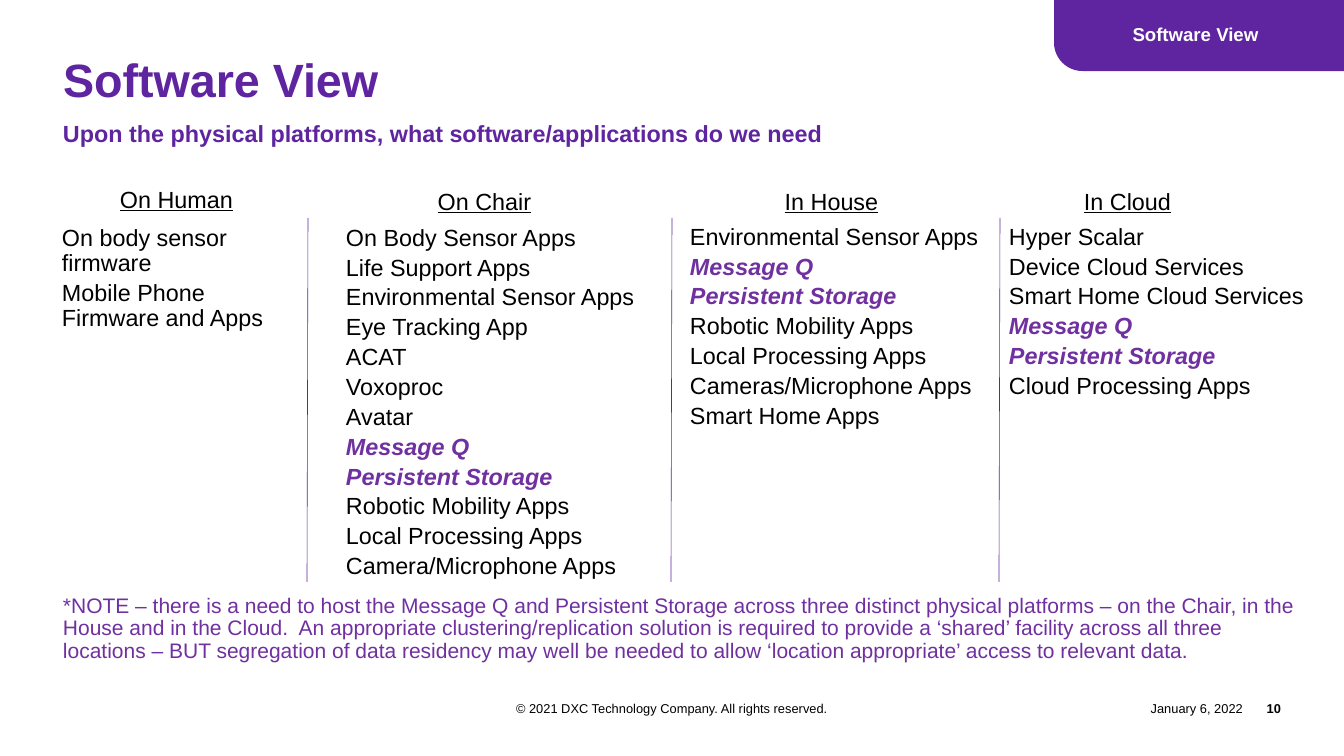
from dataclasses import dataclass

from lxml import etree
from pptx import Presentation
from pptx.dml.color import RGBColor
from pptx.enum.shapes import MSO_CONNECTOR, MSO_SHAPE
from pptx.enum.text import MSO_ANCHOR, PP_ALIGN
from pptx.oxml.ns import qn
from pptx.util import Emu, Pt

LEFT, CENTER, RIGHT = PP_ALIGN.LEFT, PP_ALIGN.CENTER, PP_ALIGN.RIGHT
TOP, MIDDLE = MSO_ANCHOR.TOP, MSO_ANCHOR.MIDDLE
STRAIGHT = MSO_CONNECTOR.STRAIGHT
ONE_ROUND_CORNER = MSO_SHAPE.ROUND_1_RECTANGLE
EMU_PER_PX = 914400 / 84
BLANK_LAYOUT = 6


@dataclass(frozen=True)
class Theme:
    face: str = "Arial"
    brand: RGBColor = RGBColor(0x5F, 0x24, 0x9F)
    accent: RGBColor = RGBColor(0x70, 0x30, 0xA0)
    ink: RGBColor = RGBColor(0, 0, 0)
    paper: RGBColor = RGBColor(255, 255, 255)
    title: int = 40
    body: int = 20
    note: int = 18
    tab: int = 16
    footer: int = 11


THEME = Theme()
BODY_SPACING = {"line_spacing": 0.9, "space_after": Pt(4)}
NO_INSETS = (0, 0)
BOX_INSETS = (8, 4)
SHARED = ("Message Q", "Persistent Storage")
PLATFORMS = [
    ("On Human", (99, 184), (54, 222, 244, 145),
     ["On body sensor firmware", "Mobile Phone Firmware and Apps"]),
    ("On Chair", (407, 186), (338, 222, 312, 396),
     ["On Body Sensor Apps", "Life Support Apps", "Environmental Sensor Apps",
      "Eye Tracking App", "ACAT", "Voxoproc", "Avatar", *SHARED,
      "Robotic Mobility Apps", "Local Processing Apps",
      "Camera/Microphone Apps"]),
    ("In House", (754, 186), (682, 221, 312, 245),
     ["Environmental Sensor Apps", *SHARED, "Robotic Mobility Apps",
      "Local Processing Apps", "Cameras/Microphone Apps", "Smart Home Apps"]),
    ("In Cloud", (1050, 186), (1001, 221, 333, 215),
     ["Hyper Scalar", "Device Cloud Services", "Smart Home Cloud Services",
      *SHARED, "Cloud Processing Apps"]),
]
DIVIDERS = (308, 672, 1000)
NOTE = (
    "*NOTE – there is a need to host the Message Q and Persistent Storage "
    "across three distinct physical platforms – on the Chair, in the House "
    "and in the Cloud.  An appropriate clustering/replication solution is "
    "required to provide a ‘shared’ facility across all three locations – "
    "BUT segregation of data residency may well be needed to allow "
    "‘location appropriate’ access to relevant data."
)


def px(length):
    return Emu(round(length * EMU_PER_PX))


def apply(target, values):
    for attribute, value in values.items():
        setattr(target, attribute, value)


def add_lines(slide, area, lines, size, color=THEME.ink, insets=NO_INSETS,
              anchor=TOP, spacing=None, align=LEFT, **style):
    frame = slide.shapes.add_textbox(*map(px, area)).text_frame
    across, down = map(px, insets)
    apply(frame, {"word_wrap": True, "vertical_anchor": anchor,
                  "margin_left": across, "margin_right": across,
                  "margin_top": down, "margin_bottom": down})
    for index, line in enumerate(lines):
        paragraph = frame.add_paragraph() if index else frame.paragraphs[0]
        apply(paragraph, {"alignment": align, **(spacing or {})})
        run = paragraph.add_run()
        run.text = line
        shared = line in SHARED
        emphasis = {"bold": True, "italic": True} if shared else {}
        apply(run.font, {"name": THEME.face, "size": Pt(size),
                         **style, **emphasis})
        run.font.color.rgb = THEME.accent if shared else color


def add_divider(slide, x):
    divider = slide.shapes.add_connector(
        STRAIGHT, px(x), px(218), px(x - 1), px(582))
    divider.line.color.rgb = THEME.brand
    divider.line.width = Pt(0.5)
    etree.SubElement(divider._element.spPr, qn("a:effectLst"))


def add_corner_tab(slide):
    tab = slide.shapes.add_shape(
        ONE_ROUND_CORNER, *map(px, (1054, 0, 290, 71)))
    tab.rotation = 180
    tab.adjustments[0] = 0.4
    tab.shadow.inherit = False
    tab.fill.solid()
    tab.fill.fore_color.rgb = THEME.brand
    tab.line.fill.background()
    add_lines(slide, (1076, 25, 239, 20), ["Software View"], THEME.tab,
              THEME.paper, anchor=MIDDLE, align=CENTER, bold=True,
              spacing={"line_spacing": 0.9})


def add_platform(slide, heading, corner, area, software):
    add_lines(slide, (*corner, 155, 34), [heading], THEME.body,
              insets=BOX_INSETS, spacing=BODY_SPACING, align=CENTER,
              underline=True)
    add_lines(slide, area, software, THEME.body, insets=BOX_INSETS,
              spacing=BODY_SPACING)


def add_footer(slide):
    for left, width, text, align, bold in (
        (441, 462, "© 2021 DXC Technology Company. All rights reserved.",
         CENTER, False),
        (1093, 150, "January 6, 2022", RIGHT, False),
        (1243, 38, "10", RIGHT, True),
    ):
        add_lines(slide, (left, 696, width, 25), [text], THEME.footer,
                  anchor=MIDDLE, align=align, bold=bold)


def main():
    deck = Presentation()
    apply(deck, {"slide_width": px(1344), "slide_height": px(756)})
    slide = deck.slides.add_slide(deck.slide_layouts[BLANK_LAYOUT])
    add_footer(slide)
    add_corner_tab(slide)
    add_lines(slide, (63, 59, 979, 55), ["Software View"], THEME.title,
              THEME.brand, spacing={"line_spacing": 0.85}, bold=True)
    add_lines(slide, (63, 119, 1218, 40),
              ["Upon the physical platforms, what software/applications "
               "do we need"], THEME.body, THEME.brand, bold=True)
    for x in DIVIDERS:
        add_divider(slide, x)
    for platform in PLATFORMS:
        add_platform(slide, *platform)
    add_lines(slide, (55, 591, 1252, 77), [NOTE], THEME.note, THEME.accent,
              insets=BOX_INSETS, spacing=BODY_SPACING)
    deck.save("out.pptx")


if __name__ == "__main__":
    main()
